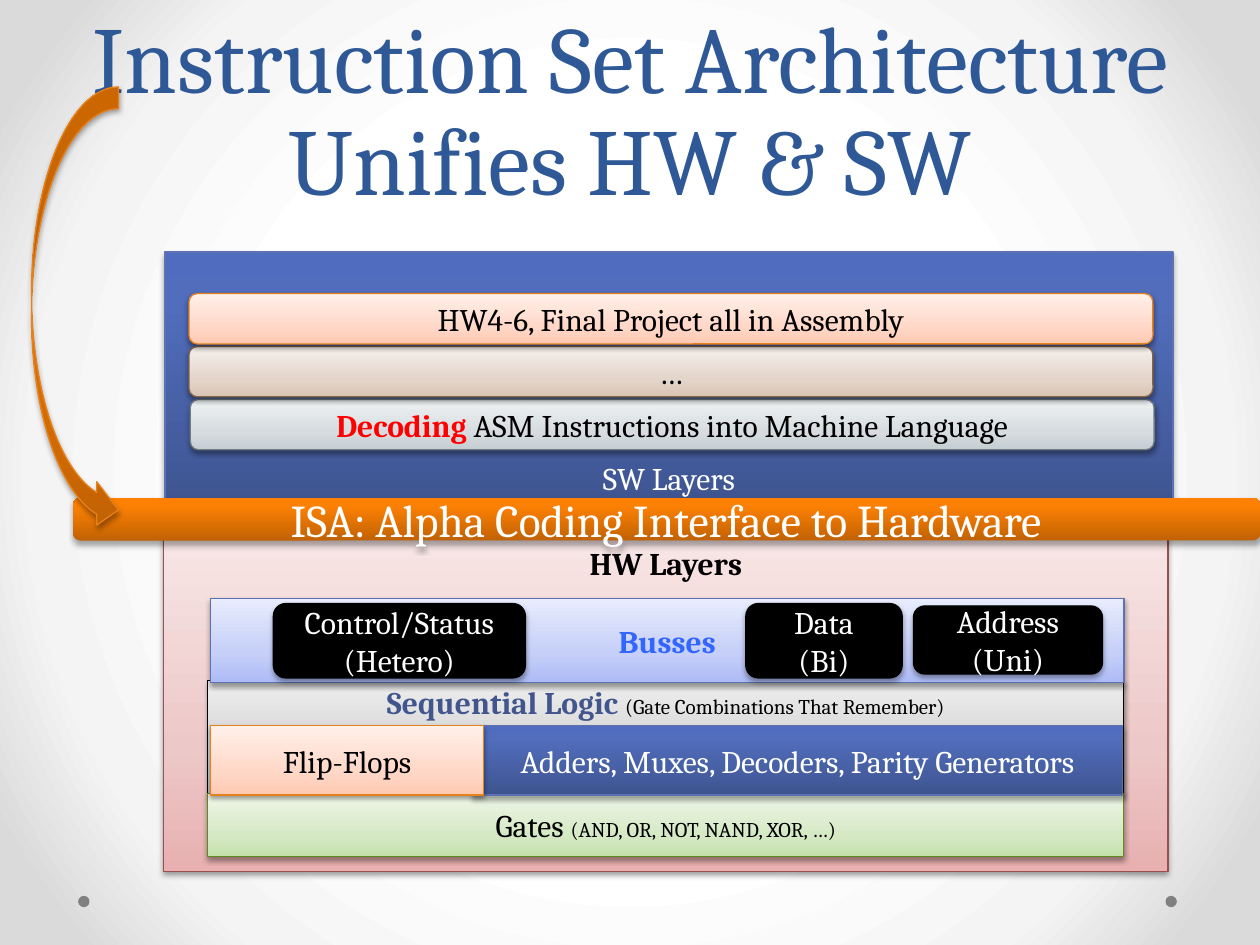
import pptx
import pptx.dml.color
import pptx.enum.shapes
import pptx.enum.text
import pptx.oxml
import pptx.oxml.ns
import pptx.util

SHAPE = pptx.enum.shapes.MSO_SHAPE
ANCHOR = pptx.enum.text.MSO_ANCHOR
NAMESPACE = pptx.oxml.ns.nsdecls("a")
BLACK, WHITE = "000000", "FFFFFF"


def rgb(code):
    return pptx.dml.color.RGBColor.from_string(code)


def light(low, middle, high, line):
    return {"stops": [(0, low), (35, middle), (100, high)],
            "line": line, "shadow": (38, 1.6)}


def dark(low, middle, high, line):
    return {"stops": [(0, low), (80, middle), (100, high)],
            "line": line, "shadow": (35, 1.8)}


BLUE = dark("3E5490", "516DBB", "4F6CBE", "5C72B2")
ORANGE = dark("C26203", "FB8004", "FF8002", "E6811C")
BAR = {**ORANGE, "line": None}
INK = {"fill": BLACK, "line": BLACK, "shadow": (35, 1.8)}
DOT = {"fill": "808080", "line": None, "shadow": None}
PEACH = light("FFC9B1", "FFD8C8", "FFF0EA", "E6811C")
PINK = light("E8B0B0", "EDC8C8", "F9E9E9", "9A4E4E")
GRAY = light("BDBDBD", "D1D1D1", "EEEEEE", BLACK)
GREEN = light("C5E1AB", "D6E9C5", "EFF7E9", "62891C")
LILAC = light("ADBBF6", "C5CFF8", "E8ECFD", "5C72B2")
SLATE = light("C5CED2", "D6DCDF", "EFF2F3", "727D82")
TAN = light("DAC4B4", "E4D5CB", "F5EFEB", "836445")


class Diagram:
    """Draws styled elements on one slide, on a grid of 100 columns by 75 rows."""

    font = "Cambria"
    cell = pptx.util.Inches(0.1)

    def __init__(self, deck):
        deck.slide_width, deck.slide_height = 100 * self.cell, 75 * self.cell
        self.page = deck.slides.add_slide(deck.slide_layouts[6])

    def place(self, area):
        return [round(length * self.cell) for length in area]

    def gradient(self, fill, holder, stops, direction):
        fill.gradient()
        element = holder.find(".//" + pptx.oxml.ns.qn("a:gradFill"))
        marks = "".join(f'<a:gs pos="{share * 1000}"><a:srgbClr val="{code}"/></a:gs>'
                        for share, code in stops)
        element.getparent().replace(element, pptx.oxml.parse_xml(
            f'<a:gradFill {NAMESPACE} rotWithShape="1"><a:gsLst>{marks}</a:gsLst>'
            f'{direction}</a:gradFill>'))

    def background(self, stops):
        self.gradient(
            self.page.background.fill, self.page.element, stops,
            '<a:path path="circle"><a:fillToRect l="50000" t="50000" r="50000" b="50000"/></a:path>')

    def shadow(self, shape, opacity, distance):
        effects = shape.element.spPr.find(pptx.oxml.ns.qn("a:effectLst"))
        effects.append(pptx.oxml.parse_xml(
            f'<a:outerShdw {NAMESPACE} blurRad="{pptx.util.Pt(3.1)}" dist="{pptx.util.Pt(distance)}" '
            f'dir="5400000" rotWithShape="0"><a:srgbClr val="{BLACK}">'
            f'<a:alpha val="{opacity * 1000}"/></a:srgbClr></a:outerShdw>'))

    def shape(self, kind, area, look):
        box = self.page.shapes.add_shape(kind, *self.place(area))
        box.shadow.inherit = False
        if "stops" in look:
            self.gradient(box.fill, box.element, look["stops"], '<a:lin ang="16200000" scaled="0"/>')
        else:
            box.fill.solid()
            box.fill.fore_color.rgb = rgb(look["fill"])
        if look["line"]:
            box.line.color.rgb = rgb(look["line"])
            box.line.width = pptx.util.Pt(0.75)
        else:
            box.line.fill.background()
        if look["shadow"]:
            self.shadow(box, *look["shadow"])
        return box

    def style(self, font, size, color, bold):
        font.name, font.size, font.bold = self.font, pptx.util.Pt(size), bold
        font.color.rgb = rgb(color)

    def label(self, box, lines, size=18, color=BLACK, bold=False, anchor=ANCHOR.MIDDLE, inset=0.5):
        frame = box.text_frame
        frame.word_wrap = True
        frame.vertical_anchor = anchor
        frame.margin_top = frame.margin_bottom = round(inset * self.cell)
        for index, line in enumerate(lines):
            para = frame.paragraphs[0] if index == 0 else frame.add_paragraph()
            para.alignment = pptx.enum.text.PP_ALIGN.CENTER
            if isinstance(line, str):
                para.add_run().text = line
                self.style(para.font, size, color, bold)
                continue
            for words, *look in line:
                span = para.add_run()
                span.text = words
                self.style(span.font, *look)

    def title(self, area, words):
        box = self.page.shapes.add_textbox(*self.place(area))
        self.label(box, [words], 54, "2F5897", anchor=ANCHOR.BOTTOM)
        box.text_frame.paragraphs[0].line_spacing = pptx.util.Pt(58)

    def block(self, area, look, *lines, **text):
        self.label(self.shape(SHAPE.RECTANGLE, area, look), lines, **text)

    def pill(self, area, look, *lines, **text):
        self.label(self.shape(SHAPE.ROUNDED_RECTANGLE, area, look), lines, **text)


def main():
    deck = pptx.Presentation()
    diagram = Diagram(deck)
    diagram.background([(50, WHITE), (76, "F4F4F4"), (92, "DADADA")])
    for column in (92.5, 6.2):
        diagram.shape(SHAPE.OVAL, (column, 71.1, 0.9, 0.9), DOT)

    diagram.block((13, 40.8, 79.7, 28.4), PINK, "HW Layers",
                  bold=True, anchor=ANCHOR.TOP, inset=2.4)
    diagram.title((0.5, 0, 99, 17.5), "Instruction Set Architecture Unifies HW & SW")
    diagram.block((16.5, 54, 72.7, 9.1), GRAY,
                  [("Sequential Logic ", 18, "42568D", True),
                   ("(Gate Combinations That Remember)", 12, BLACK, False)],
                  anchor=ANCHOR.TOP, inset=0.2)
    diagram.block((16.5, 63, 72.7, 5), GREEN,
                  [("Gates ", 18, BLACK, False),
                   ("(AND, OR, NOT, NAND, XOR, …)", 12, BLACK, False)])
    diagram.block((37.5, 57.6, 51.6, 5.5), BLUE,
                  "Adders, Muxes, Decoders, Parity Generators", color=WHITE)
    diagram.block((16.7, 57.6, 21.7, 5.5), PEACH, "Flip-Flops")
    diagram.block((16.7, 47.5, 72.5, 6.7), LILAC, "Busses", color="3366FF", bold=True)
    for area, name, kind in [((59.2, 47.9, 12.4, 5.9), "Data", "(Bi)"),
                             ((72.5, 48.1, 15, 5.4), "Address", "(Uni)"),
                             ((21.7, 47.9, 20, 5.9), "Control/Status", "(Hetero)")]:
        diagram.pill(area, INK, name, kind, color=WHITE)

    diagram.block((13.1, 20, 80, 20.6), BLUE, "SW Layers",
                  color=WHITE, anchor=ANCHOR.BOTTOM, inset=1.2)
    decoding = [("Decoding ", 18, "FF0000", True),
                ("ASM Instructions into Machine Language", 18, BLACK, False)]
    layers = [(15.1, SLATE, decoding), (15, TAN, "…"),
              (15, PEACH, "HW4-6, Final Project all in Assembly")]
    for index, (column, look, line) in enumerate(layers):
        diagram.pill((column, 31.7 - 4.2 * index, 76.5, 4), look, line)

    diagram.pill((5.8, 39.5, 94.2, 3.4), BAR, "ISA: Alpha Coding Interface to Hardware",
                 size=26, color=WHITE)
    diagram.shape(SHAPE.CURVED_RIGHT_ARROW, (2.5, 6.9, 6.9, 35.3), ORANGE)
    deck.save("out.pptx")


if __name__ == "__main__":
    main()
